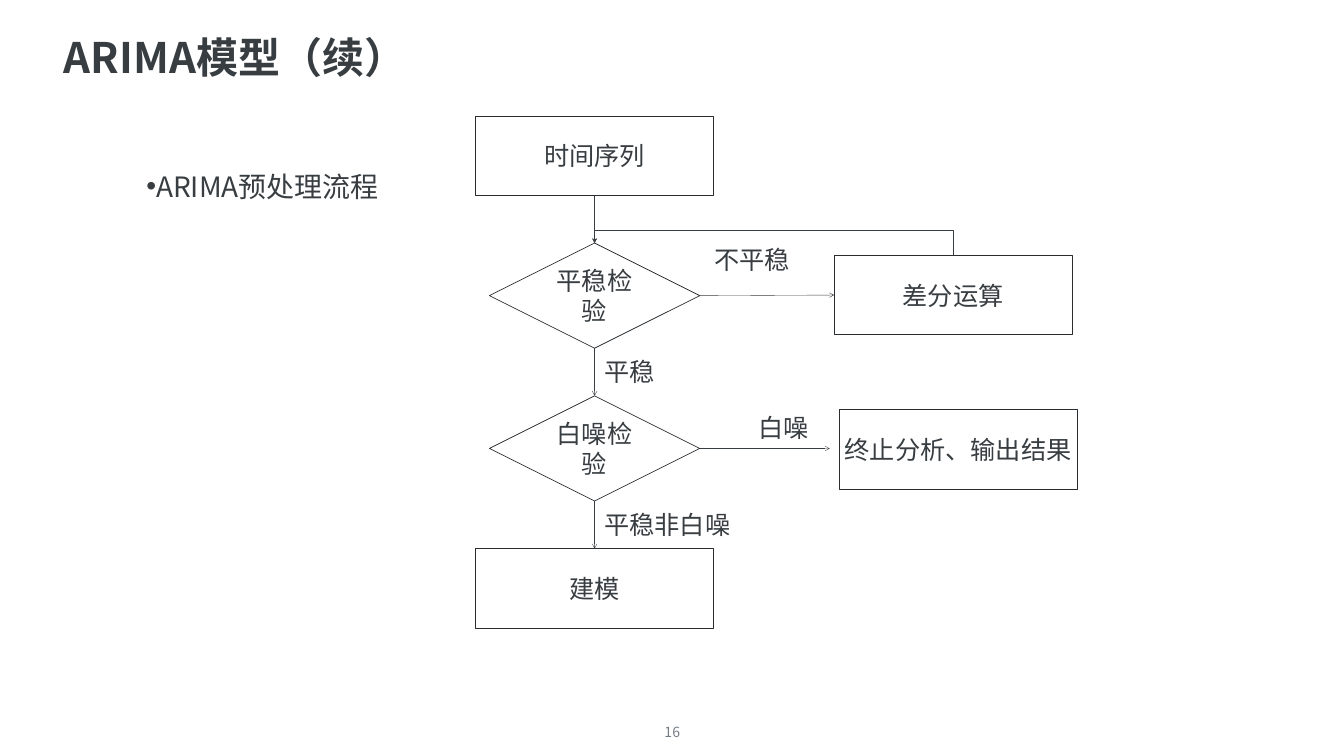
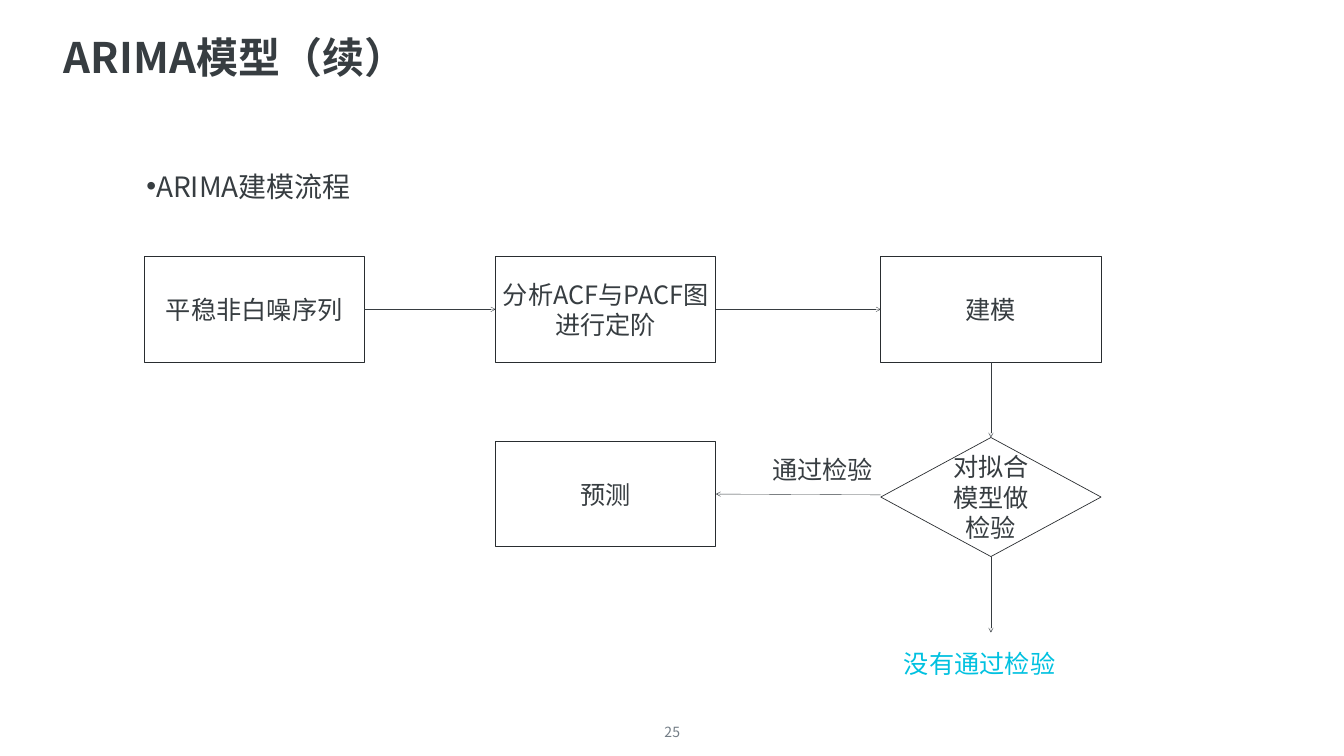
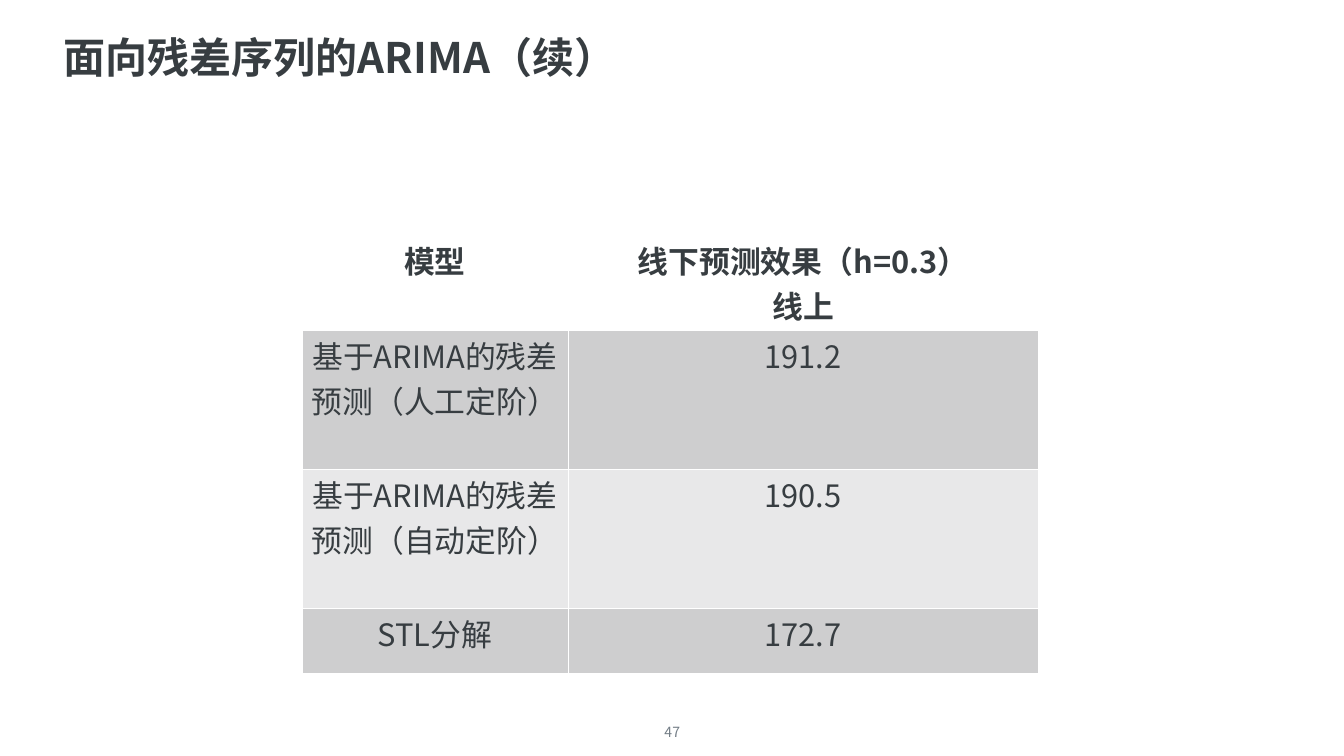
from dataclasses import dataclass

from lxml.etree import SubElement
from pptx import Presentation
from pptx.dml.color import RGBColor
from pptx.enum.shapes import MSO_CONNECTOR as Link, MSO_SHAPE as Form
from pptx.enum.text import MSO_ANCHOR as Anchor, PP_ALIGN as Align
from pptx.oxml.ns import qn
from pptx.util import Cm, Pt


@dataclass(frozen=True)
class Theme:
    font: str = "Noto Sans CJK SC"
    ink: str = "373D41"
    outline: str = "292D30"
    muted: str = "737D86"
    accent: str = "00C1E0"
    paper: str = "FFFFFF"
    bands: tuple = ("CECECF", "E8E8E9")
    title: int = 60
    table: int = 44
    bullet: int = 40
    body: int = 36
    footer: int = 20
    box_line: float = 1
    arrow_line: float = 0.5
    header_line: float = 3


THEME = Theme()
SLIDE_SIZE = (67.72, 38.1)
TITLE_AREA = (2.97, 1.75, 61.6, 2.51)
BULLET_AREA = (3.86, 7.56, 20.09, 3.84)
FOOTER_AREA = (31.12, 36.35, 5.51, 1.12)
LABEL_HEIGHT = 1.8
TOP, LEFT, BOTTOM, RIGHT = range(4)
RECT, DIAMOND = Form.RECTANGLE, Form.DIAMOND

PREPROCESSING = {
    "title": "ARIMA模型（续）",
    "number": "16",
    "bullet": "ARIMA预处理流程",
    "sizes": {RECT: (12, 4), DIAMOND: (10.6, 5.3)},
    "nodes": {
        "series": (RECT, 29.96, 7.84, "时间序列"),
        "stationarity": (DIAMOND, 29.96, 14.9, "平稳检验"),
        "whiteness": (DIAMOND, 29.96, 22.6, "白噪检验"),
        "modelling": (RECT, 29.96, 29.65, "建模"),
        "differencing": (RECT, 48.03, 14.87, "差分运算"),
        "stop": (RECT, 48.28, 22.64, "终止分析、输出结果"),
    },
    "arrows": [
        (("series", BOTTOM), ("stationarity", TOP)),
        (("stationarity", BOTTOM), ("whiteness", TOP)),
        (("whiteness", BOTTOM), ("modelling", TOP)),
        (("stationarity", RIGHT), ("differencing", LEFT)),
        (("whiteness", RIGHT), (41.81, 22.6)),
    ],
    "loop": ("differencing", "stationarity"),
    "labels": [
        (35.74, 12.17, 4.45, "不平稳", THEME.ink),
        (30.2, 17.84, 4.45, "平稳", THEME.ink),
        (37.95, 20.65, 6.81, "白噪", THEME.ink),
        (30.2, 25.55, 11.15, "平稳非白噪", THEME.ink),
    ],
}

MODELLING = {
    "title": "ARIMA模型（续）",
    "number": "25",
    "bullet": "ARIMA建模流程",
    "sizes": {RECT: (11.1, 5.31), DIAMOND: (11.1, 6)},
    "nodes": {
        "series": (RECT, 12.81, 15.59, "平稳非白噪序列"),
        "order": (RECT, 30.52, 15.59, "分析ACF与PACF图进行定阶"),
        "modelling": (RECT, 49.93, 15.59, "建模"),
        "check": (DIAMOND, 49.93, 25.05, "对拟合模型做检验"),
        "forecast": (RECT, 30.52, 24.9, "预测"),
    },
    "arrows": [
        (("series", RIGHT), ("order", LEFT)),
        (("order", RIGHT), ("modelling", LEFT)),
        (("modelling", BOTTOM), ("check", TOP)),
        ((44.37, 24.94), ("forecast", RIGHT)),
        (("check", BOTTOM), (49.93, 31.88)),
    ],
    "loop": None,
    "labels": [
        (38.66, 22.76, 5.72, "通过检验", THEME.ink),
        (45.3, 32.56, 9.25, "没有通过检验", THEME.accent),
    ],
}

RESULTS = {
    "title": "面向残差序列的ARIMA（续）",
    "number": "47",
    "at": (15.21, 11.86),
    "columns": (13.41, 23.7),
    "rows": (4.78, 7, 7, 3.3),
    "cells": [
        (["模型"], ["线下预测效果（h=0.3）", "线上"]),
        (["基于ARIMA的残差预测（人工定阶）"], ["191.2"]),
        (["基于ARIMA的残差预测（自动定阶）"], ["190.5"]),
        (["STL分解"], ["172.7"]),
    ],
}


def rgb(color):
    return RGBColor.from_string(color)


def write(frame, lines, size, color=THEME.ink, bold=False, align=Align.LEFT):
    frame.word_wrap = True
    for index, line in enumerate(lines):
        para = frame.add_paragraph() if index else frame.paragraphs[0]
        para.alignment = align
        span = para.add_run()
        span.text = line
        span.font.size = Pt(size)
        span.font.bold = bold
        span.font.color.rgb = rgb(color)
        span.font.name = THEME.font
        for script in ("a:ea", "a:cs"):
            SubElement(span.font._element, qn(script)).set("typeface", THEME.font)
    return frame.paragraphs[0]


def add_text(page, area, text, size, **style):
    box = page.shapes.add_textbox(*map(Cm, area))
    return box.text_frame, write(box.text_frame, [text], size, **style)


def add_page(deck, content):
    page = deck.slides.add_slide(deck.slide_layouts[6])
    frame, para = add_text(page, TITLE_AREA, content["title"], THEME.title, bold=True)
    frame.vertical_anchor = Anchor.MIDDLE
    para.line_spacing = 0.9
    add_text(page, FOOTER_AREA, content["number"], THEME.footer,
             color=THEME.muted, align=Align.CENTER)
    return page


def add_bullet(page, text):
    para = add_text(page, BULLET_AREA, text, THEME.bullet)[1]
    para.line_spacing = 1.5
    para.space_before = Pt(20)
    props = para._p.get_or_add_pPr()
    props.set("marL", str(Cm(2)))
    props.set("indent", str(Cm(1.27)))
    SubElement(props, qn("a:buFont")).set("typeface", "Arial")
    SubElement(props, qn("a:buChar")).set("char", "•")


def add_node(page, form, center_x, center_y, text, size):
    width, height = size
    area = (center_x - width / 2, center_y - height / 2, width, height)
    node = page.shapes.add_shape(form, *map(Cm, area))
    node.shadow.inherit = False
    node.fill.background()
    node.line.color.rgb = rgb(THEME.outline)
    node.line.width = Pt(THEME.box_line)
    node.text_frame.vertical_anchor = Anchor.MIDDLE
    write(node.text_frame, [text], THEME.body, align=Align.CENTER)
    return node


def add_arrow(page, nodes, start, end, kind=Link.STRAIGHT, head="arrow"):
    points = [(0, 0) if point[0] in nodes else tuple(map(Cm, point))
              for point in (start, end)]
    arrow = page.shapes.add_connector(kind, *points[0], *points[1])
    if start[0] in nodes:
        arrow.begin_connect(nodes[start[0]], start[1])
    if end[0] in nodes:
        arrow.end_connect(nodes[end[0]], end[1])
    arrow.line.color.rgb = rgb(THEME.ink)
    arrow.line.width = Pt(THEME.arrow_line)
    SubElement(arrow.line._get_or_add_ln(), qn("a:tailEnd")).set("type", head)
    SubElement(arrow._element.spPr, qn("a:effectLst"))
    return arrow


def add_loop(page, nodes, source, target):
    loop = add_arrow(page, nodes, (source, TOP), (target, TOP), Link.ELBOW, "triangle")
    rise, run = loop.height, loop.width
    middle_x, middle_y = loop.left + run // 2, loop.top + rise // 2
    loop.left, loop.top = middle_x - rise // 2, middle_y - run // 2
    loop.width, loop.height = rise, run
    frame = loop._element.spPr.find(qn("a:xfrm"))
    for name, value in (("rot", "16200000"), ("flipH", "0"), ("flipV", "1")):
        frame.set(name, value)
    guides = loop._element.spPr.find(qn("a:prstGeom")).find(qn("a:avLst"))
    bend = SubElement(guides, qn("a:gd"))
    bend.set("name", "adj1")
    bend.set("fmla", f"val {round(Cm(1.27) / rise * 100000)}")


def add_flow(deck, content):
    page = add_page(deck, content)
    add_bullet(page, content["bullet"])
    nodes = {name: add_node(page, *node, content["sizes"][node[0]])
             for name, node in content["nodes"].items()}
    for start, end in content["arrows"]:
        add_arrow(page, nodes, start, end)
    if content["loop"]:
        add_loop(page, nodes, *content["loop"])
    for left, top, width, text, color in content["labels"]:
        add_text(page, (left, top, width, LABEL_HEIGHT), text, THEME.body, color=color)


def add_borders(cell, header_edge):
    props = cell._tc.get_or_add_tcPr()
    for index, side in enumerate(("a:lnL", "a:lnR", "a:lnT", "a:lnB")):
        width = THEME.header_line if side == header_edge else THEME.box_line
        line = props.makeelement(qn(side), {"w": str(Pt(width))})
        fill = SubElement(line, qn("a:solidFill"))
        SubElement(fill, qn("a:srgbClr")).set("val", THEME.paper)
        props.insert(index, line)


def add_results(deck, content):
    page = add_page(deck, content)
    columns, rows = content["columns"], content["rows"]
    area = (*content["at"], sum(columns), sum(rows))
    table = page.shapes.add_table(len(rows), len(columns), *map(Cm, area)).table
    table.first_row = table.horz_banding = False
    for column, width in zip(table.columns, columns):
        column.width = Cm(width)
    for index, (row, height) in enumerate(zip(table.rows, rows)):
        row.height = Cm(height)
        for cell, lines in zip(row.cells, content["cells"][index]):
            write(cell.text_frame, lines, THEME.table, bold=index == 0, align=Align.CENTER)
            if index:
                cell.fill.solid()
                cell.fill.fore_color.rgb = rgb(THEME.bands[(index - 1) % 2])
            else:
                cell.fill.background()
            add_borders(cell, {0: "a:lnB", 1: "a:lnT"}.get(index))


def main():
    deck = Presentation()
    deck.slide_width, deck.slide_height = map(Cm, SLIDE_SIZE)
    add_flow(deck, PREPROCESSING)
    add_flow(deck, MODELLING)
    add_results(deck, RESULTS)
    deck.save("out.pptx")


if __name__ == "__main__":
    main()
